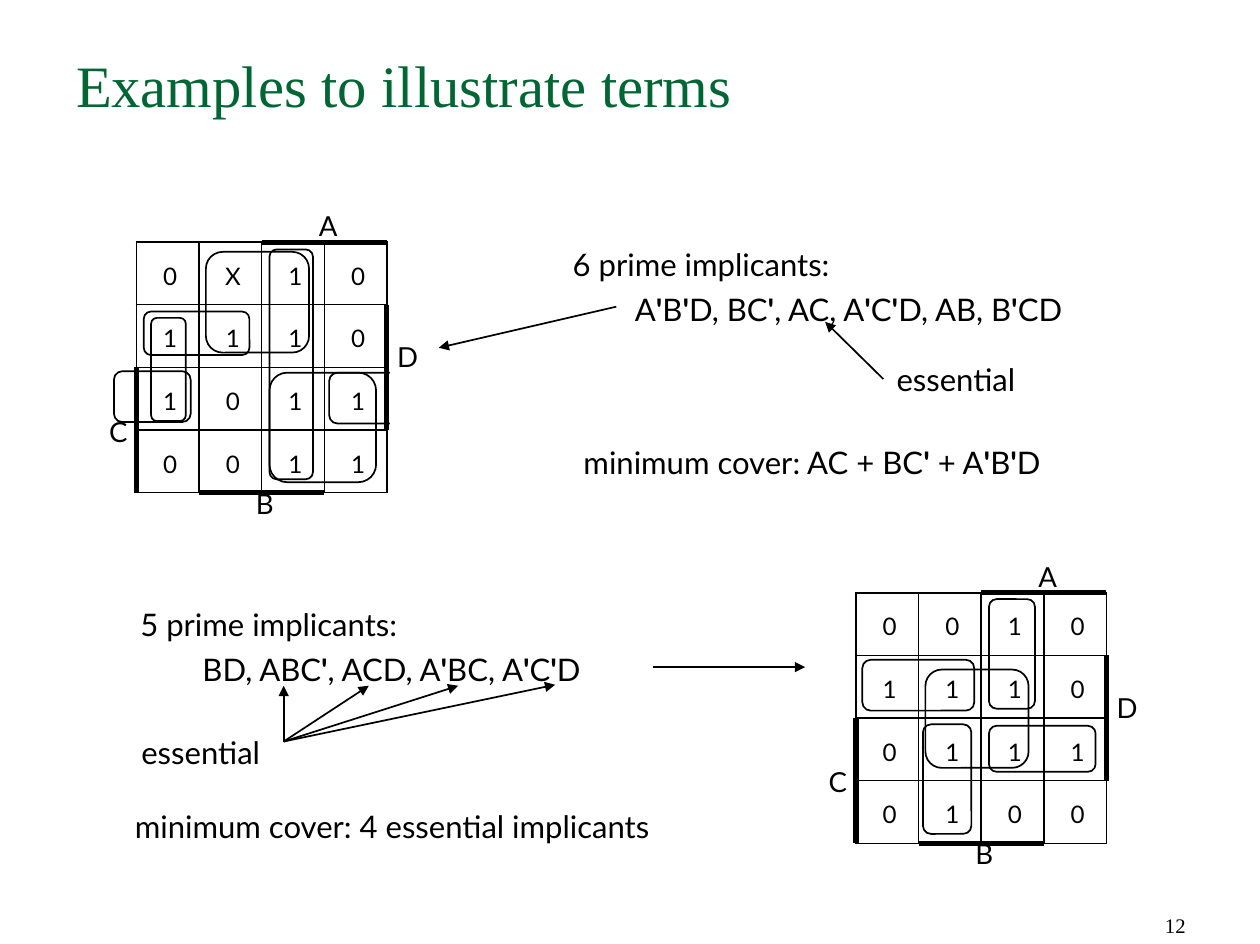
from dataclasses import dataclass
from itertools import groupby

from lxml import etree
from pptx import Presentation
from pptx.dml.color import RGBColor
from pptx.enum.shapes import MSO_CONNECTOR, MSO_SHAPE
from pptx.enum.text import MSO_ANCHOR, PP_ALIGN
from pptx.oxml.ns import qn
from pptx.util import Cm, Pt

STRAIGHT = MSO_CONNECTOR.STRAIGHT
ROUNDED, RECTANGLE = MSO_SHAPE.ROUNDED_RECTANGLE, MSO_SHAPE.RECTANGLE
TOP, MIDDLE, BOTTOM = MSO_ANCHOR.TOP, MSO_ANCHOR.MIDDLE, MSO_ANCHOR.BOTTOM
LEFT, CENTER, RIGHT = PP_ALIGN.LEFT, PP_ALIGN.CENTER, PP_ALIGN.RIGHT


@dataclass(frozen=True)
class Theme:
    ink: RGBColor = RGBColor(0, 0, 0)
    paper: RGBColor = RGBColor(255, 255, 255)
    heading: RGBColor = RGBColor(0x00, 0x66, 0x33)
    serif: str = "Times New Roman"
    sans: str = "Lato"
    title_size: int = 34
    body_size: int = 18
    variable_size: int = 16
    cell_size: int = 14
    number_size: int = 12
    thin: int = 1
    thick: int = 3


THEME = Theme()

# Content: lengths in cm, loops relative to the corner of their map
TITLE = "Examples to illustrate terms"
SLIDE_NUMBER = "12"
MAPS = [
    {
        "corner": (2.79, 4.95),
        "values": ["0X10", "1110", "1011", "0011"],
        "loops": [
            (-0.46, 2.64, 1.57, 1.04), (3.94, 2.67, 1.57, 1.04),
            (2.72, 2.67, 2.18, 2.24), (2.72, 0.15, 0.89, 4.7),
            (0.15, 1.42, 2.16, 0.89), (1.42, 0.2, 2.11, 2.06),
            (0.3, 1.55, 0.71, 2.11),
        ],
        "open_end": (5.18, 2.59, 0.58, 1.24),
    },
    {
        "corner": (17.5, 12.12),
        "values": ["0010", "1110", "0111", "0100"],
        "loops": [
            (2.72, 0.13, 0.94, 2.24), (0.13, 1.37, 2.29, 1.04),
            (1.37, 2.69, 0.99, 2.24), (2.72, 2.72, 2.18, 0.94),
            (1.42, 1.57, 2.11, 2.01),
        ],
        "open_end": None,
    },
]
CELL = 1.28
# Variable: edge from and to in cells, label offset in cm
VARIABLES = {
    "A": ((2, 0), (4, 0), (3.68, -0.64)),
    "D": ((4, 1), (4, 3), (5.28, 2.03)),
    "B": ((1, 4), (3, 4), (2.39, 5.03)),
    "C": ((0, 2), (0, 4), (-0.61, 3.56)),
}
IMPLICANTS = [
    (["6 prime implicants:", "A'B'D, BC', AC, A'C'D, AB, B'CD"], (11.66, 4.78, 12.42, 1.9)),
    (["5 prime implicants:", "BD, ABC', ACD, A'BC, A'C'D"], (2.82, 12.14, 12.42, 1.9)),
]
REMARKS = [
    ("essential", (18.08, 7.24, 2.95, 1.02)),
    ("minimum cover: AC + BC' + A'B'D", (11.68, 8.94, 10.19, 1.02)),
    ("essential", (2.64, 14.86, 2.95, 1.02)),
    ("minimum cover: 4 essential implicants", (2.51, 16.38, 11.2, 1.02)),
]
FAN_START = (5.8, 15.16)
FAN_TIPS = [(5.8, 14.02), (7.54, 14.02), (9.37, 14.02), (11.35, 14)]
ARROWS = [
    ((12.6, 6.27), (8.97, 7.11)),
    ((18.06, 7.75), (16.87, 6.58)),
    ((13.34, 13.64), (16.46, 13.64)),
] + [(FAN_START, tip) for tip in FAN_TIPS]


def style(paragraph, size, font=THEME.sans, color=THEME.ink, align=LEFT):
    paragraph.alignment = align
    for run in paragraph.runs:
        run.font.size = Pt(size)
        run.font.name = font
        run.font.color.rgb = color


def write(paragraph, text):
    """Write a Boolean expression with bold complement marks."""
    for is_mark, letters in groupby(text, lambda letter: letter == "'"):
        run = paragraph.add_run()
        run.text = "".join(letters)
        run.font.bold = is_mark
    style(paragraph, THEME.body_size)


def add_frame(slide, box, inset=(0.25, 0.13), wrap=False, anchor=TOP):
    frame = slide.shapes.add_textbox(*map(Cm, box)).text_frame
    frame.word_wrap = wrap
    frame.vertical_anchor = anchor
    frame.margin_left = frame.margin_right = Cm(inset[0])
    frame.margin_top = frame.margin_bottom = Cm(inset[1])
    return frame


def add_line(slide, start, end, width, arrow=False):
    line = slide.shapes.add_connector(STRAIGHT, *map(Cm, (*start, *end)))
    line.line.color.rgb = THEME.ink
    line.line.width = Pt(width)
    if arrow:
        etree.SubElement(line.line._get_or_add_ln(), qn("a:tailEnd"), type="triangle")
    etree.SubElement(line._element.spPr, qn("a:effectLst"))


def set_borders(cell):
    properties = cell._tc.get_or_add_tcPr()
    for index, side in enumerate(("lnL", "lnR", "lnT", "lnB")):
        border = etree.Element(qn(f"a:{side}"), w=str(Pt(THEME.thin)))
        fill = etree.SubElement(border, qn("a:solidFill"))
        etree.SubElement(fill, qn("a:srgbClr"), val=str(THEME.ink))
        properties.insert(index, border)


def add_map(slide, corner, values, loops, open_end):
    def place(x, y):
        return corner[0] + x, corner[1] + y

    # Loops around the implicants
    for x, y, width, height in loops:
        loop = slide.shapes.add_shape(ROUNDED, *map(Cm, (*place(x, y), width, height)))
        loop.shadow.inherit = False
        loop.fill.background()
        loop.line.color.rgb = THEME.ink
        loop.line.width = Pt(THEME.thin)
    if open_end:
        x, y, width, height = open_end
        gap = slide.shapes.add_shape(RECTANGLE, *map(Cm, (*place(x, y), width, height)))
        gap.shadow.inherit = False
        gap.fill.solid()
        gap.fill.fore_color.rgb = THEME.paper
        gap.line.fill.background()

    # Grid of values
    side = len(values)
    grid = slide.shapes.add_table(side, side, *map(Cm, (*corner, side * CELL, side * CELL))).table
    grid.first_row = grid.horz_banding = False
    for row, digits in enumerate(values):
        grid.rows[row].height = grid.columns[row].width = Cm(CELL)
        for column, digit in enumerate(digits):
            cell = grid.cell(row, column)
            cell.text = digit
            cell.vertical_anchor = MIDDLE
            cell.margin_left = cell.margin_top = Cm(0.1)
            cell.margin_right = cell.margin_bottom = 0
            cell.fill.background()
            set_borders(cell)
            style(cell.text_frame.paragraphs[0], THEME.cell_size, align=CENTER)

    # Variable edges and labels
    for variable, (start, end, offset) in VARIABLES.items():
        edge = [place(x * CELL, y * CELL) for x, y in (start, end)]
        add_line(slide, *edge, THEME.thick)
        frame = add_frame(slide, (*place(*offset), 0.6, 0.8), (0.05, 0.08))
        frame.text = variable
        frame.paragraphs[0].line_spacing = Pt(16)
        style(frame.paragraphs[0], THEME.variable_size)


def main():
    deck = Presentation()
    deck.slide_width, deck.slide_height = Cm(25.76), Cm(19.3)
    slide = deck.slides.add_slide(deck.slide_layouts[5])

    # Title and slide number
    title = slide.shapes.title
    title.left, title.top, title.width, title.height = map(Cm, (1.3, 0.79, 23.16, 3.2))
    title.text_frame.text = TITLE
    title.text_frame.vertical_anchor = TOP
    title.text_frame.margin_top = Cm(0.2)
    style(title.text_frame.paragraphs[0], THEME.title_size, THEME.serif, THEME.heading)
    number = add_frame(slide, (18.47, 18.01, 6.02, 1.3), wrap=True, anchor=BOTTOM)
    number.text = SLIDE_NUMBER
    style(number.paragraphs[0], THEME.number_size, THEME.serif, align=RIGHT)

    for karnaugh_map in MAPS:
        add_map(slide, **karnaugh_map)

    # Implicant lists and remarks
    for (heading, terms), box in IMPLICANTS:
        frame = add_frame(slide, box, (0.05, 0.08))
        write(frame.paragraphs[0], heading)
        write(frame.add_paragraph(), terms)
        frame.paragraphs[1]._p.get_or_add_pPr().set("marL", str(Cm(1.27)))
        for paragraph in frame.paragraphs:
            paragraph.line_spacing = Pt(26)
    for remark, box in REMARKS:
        write(add_frame(slide, box).paragraphs[0], remark)

    for start, end in ARROWS:
        add_line(slide, start, end, THEME.thin, arrow=True)

    deck.save("out.pptx")


if __name__ == "__main__":
    main()
